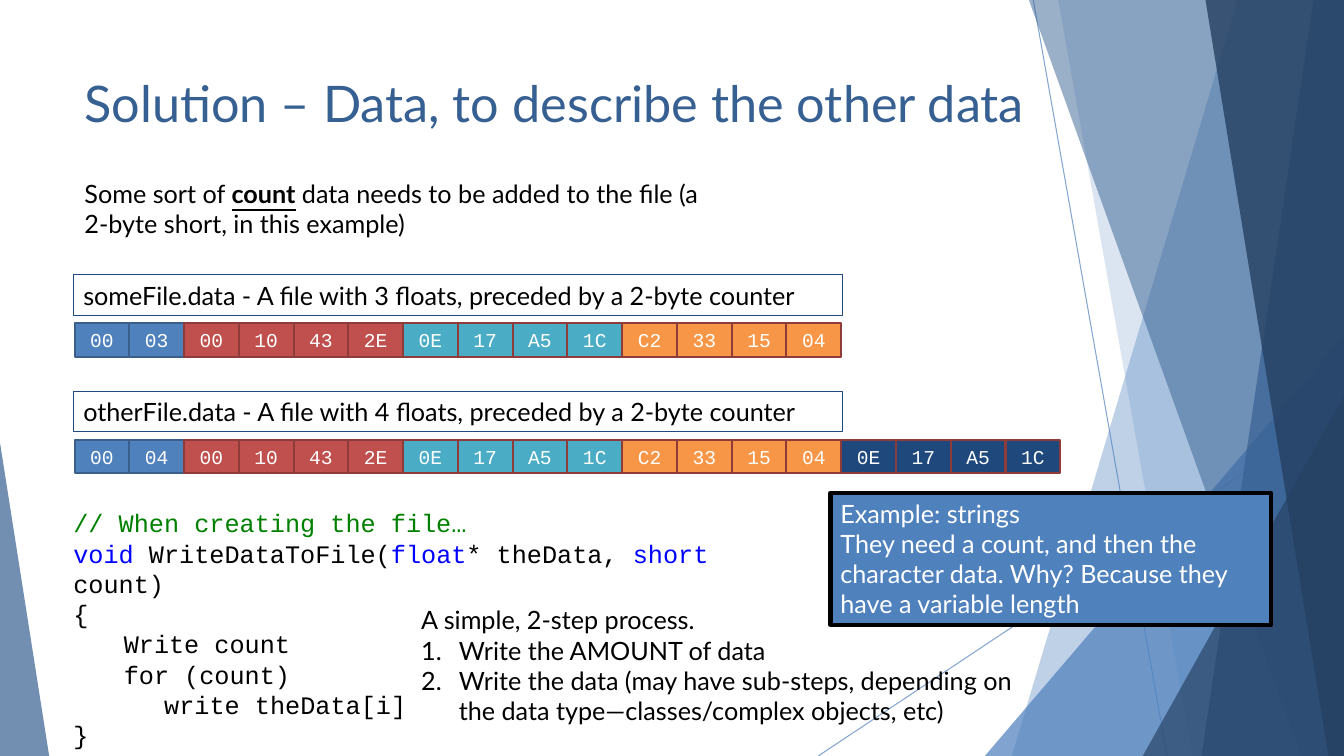
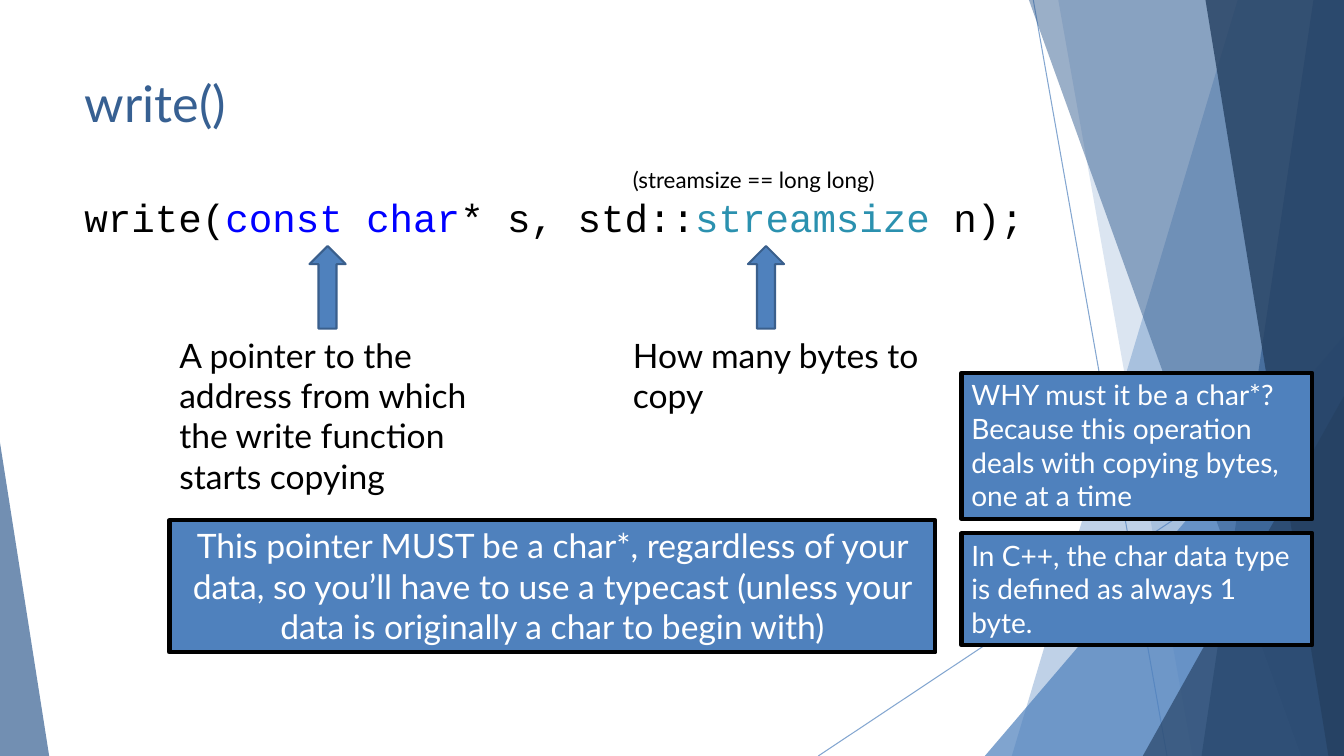
from lxml import etree
from pptx import Presentation
from pptx import util as u
from pptx.dml.color import RGBColor
from pptx.enum import shapes as kinds, text as t
from pptx.oxml.ns import qn

WIDTH, HEIGHT = 33.87, 19.05
BLUE, STEEL, NAVY, DEEP = "4F81BD", "376092", "254061", "1F497D"
RED, TEAL, ORANGE = "C0504D", "4BACC6", "F79646"
BLUE_EDGE, RED_EDGE = "3A5F8C", "8E3B39"
WHITE, BLACK = "FFFFFF", "000000"
SANS, MONO = "Lato", "Courier New"
KEYWORD, COMMENT, TYPE = ({"color": c} for c in ("0000FF", "008000", "2B91AF"))
RECT = kinds.MSO_SHAPE.RECTANGLE


def rgb(hex_code):
    """Turn a hex string into a colour."""
    return RGBColor.from_string(hex_code)


def cm(*lengths):
    """Turn numbers into lengths in centimetres."""
    return [u.Cm(length) for length in lengths]


def fade(shape, percent):
    """Give every colour of a shape the same opacity."""
    for colour in shape.element.spPr.iter(qn("a:srgbClr")):
        etree.SubElement(colour, qn("a:alpha"), val=str(percent * 1000))


def style_run(run, size, font, color, bold=False, underline=False):
    """Format one run."""
    run.font.size, run.font.name = u.Pt(size), font
    run.font.color.rgb = rgb(color)
    run.font.bold, run.font.underline = bold, underline


def write(shape, lines, align=t.PP_ALIGN.LEFT, anchor=t.MSO_ANCHOR.TOP, **look):
    """Write paragraphs; a line is a string or a list of strings and (string, format) pairs."""
    look = {"size": 18, "font": SANS, "color": BLACK, **look}
    frame = shape.text_frame
    frame.word_wrap, frame.vertical_anchor = True, anchor
    frame.auto_size = t.MSO_AUTO_SIZE.NONE
    for number, line in enumerate(lines):
        paragraph = frame.add_paragraph() if number else frame.paragraphs[0]
        paragraph.alignment, paragraph.space_before = align, u.Pt(0)
        for part in [line] if isinstance(line, str) else line:
            words, change = (part, {}) if isinstance(part, str) else part
            run = paragraph.add_run()
            run.text = words
            style_run(run, **{**look, **change})
    return frame.paragraphs


def indent(paragraph, left, hanging=0, numbered=False):
    """Set the indent of a paragraph and its number, if any."""
    props = paragraph._p.get_or_add_pPr()
    props.set("marL", str(u.Cm(left)))
    props.set("indent", str(-u.Cm(hanging)))
    if numbered:
        etree.SubElement(props, qn("a:buFont"), typeface="+mj-lt")
        etree.SubElement(props, qn("a:buAutoNum"), type="arabicPeriod")
    else:
        etree.SubElement(props, qn("a:buNone"))


class Deck:
    """Holds the presentation, its style and the current slide."""

    def __init__(self):
        """Open an empty widescreen presentation."""
        self.file = Presentation()
        self.file.slide_width, self.file.slide_height = cm(WIDTH, HEIGHT)
        self.slide = None

    def start(self, layout, title, width, height):
        """Add a slide with its title; the first one also fills the master."""
        first = self.slide is None
        self.slide = self.file.slides.add_slide(self.file.slide_layouts[layout])
        if first:
            self.backdrop()
        heading = self.place(self.slide.shapes.title, 1.88, 1.7, width, height)
        write(heading, [title], size=36, color=STEEL)

    def place(self, shape, *box):
        """Move and size a placeholder."""
        shape.left, shape.top, shape.width, shape.height = cm(*box)
        return shape

    def paint(self, shape, fill, line=None, weight=1.5):
        """Set fill and outline, without a shadow."""
        shape.shadow.inherit = False
        shape.fill.solid()
        shape.fill.fore_color.rgb = rgb(fill)
        if line:
            shape.line.color.rgb = rgb(line)
            shape.line.width = u.Pt(weight)
        else:
            shape.line.fill.background()
        return shape

    def shape(self, box, fill, line=None, weight=1.5, kind=RECT):
        """Add a painted preset shape."""
        return self.paint(self.slide.shapes.add_shape(kind, *cm(*box)), fill, line, weight)

    def label(self, box, lines, **look):
        """Add a plain text box."""
        return write(self.slide.shapes.add_textbox(*cm(*box)), lines, **look)

    def callout(self, box, lines, **look):
        """Add a blue box with a heavy black frame."""
        write(self.shape(box, BLUE, BLACK, 3), lines, color=WHITE, **look)

    def arrow(self, left):
        """Add an arrow that points up at the signature."""
        self.shape((left, 6.2, 0.91, 2.08), BLUE, BLUE_EDGE, kind=kinds.MSO_SHAPE.UP_ARROW)

    def ray(self, *ends):
        """Add a thin translucent line."""
        ray = self.slide.shapes.add_connector(kinds.MSO_CONNECTOR.STRAIGHT, *cm(*ends))
        ray.line.color.rgb, ray.line.width = rgb(BLUE), u.Pt(0.75)
        etree.SubElement(ray.element.spPr, qn("a:effectLst"))
        fade(ray, 70)
        return ray

    def facet(self, top, bottom, fill, opacity):
        """Add a full-height facet from a slanted edge to the right side."""
        outline = self.slide.shapes.build_freeform(*cm(top, 0), scale=1.0)
        corners = [(WIDTH, 0), (WIDTH, HEIGHT), (bottom, HEIGHT)]
        outline.add_line_segments([cm(*corner) for corner in corners])
        facet = self.paint(outline.convert_to_shape(), fill)
        fade(facet, opacity)
        return facet

    def wedge(self, left, top, width, apex, fill, opacity):
        """Add a right-angled triangle that stands on the bottom edge."""
        wedge = self.shape((left, top, width, HEIGHT - top), fill,
                           kind=kinds.MSO_SHAPE.ISOSCELES_TRIANGLE)
        wedge.adjustments[0] = apex
        fade(wedge, opacity)
        return wedge

    def backdrop(self):
        """Draw the facets once and move them to the slide master."""
        pieces = [
            self.ray(26.04, 0, 29.41, HEIGHT),
            self.ray(WIDTH, 10.24, 20.62, HEIGHT),
            self.facet(31.19, 25.5, BLUE, 36),
            self.facet(26.67, 30.05, BLUE, 20),
            self.wedge(24.82, 8.46, 9.05, 1, BLUE, 72),
            self.facet(25.93, 32.79, STEEL, 50),
            self.facet(33.1, 30.28, STEEL, 70),
            self.facet(30.38, 33.48, NAVY, 80),
            self.wedge(28.8, 9.98, 5.07, 1, NAVY, 66),
            self.wedge(0, 11.15, 1.24, 0, STEEL, 70),
        ]
        tree = self.file.slide_master.shapes.element
        for number, piece in enumerate(pieces):
            piece.element.find(".//" + qn("p:cNvPr")).set("id", str(100 + number))
            tree.insert(2 + number, piece.element)

    def byte_row(self, top, caption, groups):
        """Add a caption and below it one cell per byte, coloured by group."""
        heading = self.shape((1.85, top, 19.38, 1.02), WHITE, DEEP, 0.75)
        write(heading, [caption])
        cells = [(byte, fill) for data, fill in groups for byte in data.split()]
        pitch = 1.38
        for column, (byte, fill) in enumerate(cells):
            edge = BLUE_EDGE if fill == BLUE else RED_EDGE
            cell = self.shape((1.88 + column * pitch, top + 1.22, pitch, 0.84), fill, edge)
            write(cell, [byte], align=t.PP_ALIGN.CENTER, anchor=t.MSO_ANCHOR.MIDDLE,
                  size=14, font=MONO, color=WHITE)


def build_solution(deck):
    """Build the slide about the counter in front of the data."""
    deck.start(1, "Solution – Data, to describe the other data", 25.07, 2.18)
    steps = deck.place(deck.slide.placeholders[1], 10.36, 15.11, 16.38, 3.33)
    intro, *numbered = write(steps, [
        "A simple, 2-step process.",
        "Write the AMOUNT of data",
        "Write the data (may have sub-steps, depending on the data type—classes/complex "
        "objects, etc)"])
    indent(intro, 0)
    for step in numbered:
        indent(step, 0.95, 0.95, numbered=True)

    write(deck.shape((1.88, 4.37, 16.38, 1.8), WHITE), [[
        "Some sort of ", ("count", {"bold": True, "underline": True}),
        " data needs to be added to the file (a 2-byte short, in this example)"]])

    floats = [("00 10 43 2E", RED), ("0E 17 A5 1C", TEAL), ("C2 33 15 04", ORANGE)]
    deck.byte_row(6.93, "someFile.data - A file with 3 floats, preceded by a 2-byte counter",
                  [("00 03", BLUE), *floats])
    deck.byte_row(9.86, "otherFile.data - A file with 4 floats, preceded by a 2-byte counter",
                  [("00 04", BLUE), *floats, ("0E 17 A5 1C", DEEP)])

    code = deck.label((1.6, 12.67, 17.91, 5.64), [
        [("// When creating the file…", COMMENT)],
        [("void ", KEYWORD), "WriteDataToFile(", ("float", KEYWORD), "* theData, ",
         ("short ", KEYWORD), "count)"],
        "{", "Write count", "for (count)", "write theData[i]", "}"], font=MONO)
    for line, left in zip(code[3:6], (1.27, 1.27, 2.29)):
        indent(line, left)

    deck.callout((20.93, 12.42, 11.1, 3.33), [
        "Example: strings",
        "They need a count, and then the character data. Why? Because they have a "
        "variable length"])


def build_write(deck):
    """Build the slide about the parameters of write()."""
    deck.start(5, "write()", 23.88, 2.03)
    deck.label((1.88, 4.75, 25.37, 1.45), [[
        "write(", ("const char", KEYWORD), "* s, std::", ("streamsize ", TYPE), "n);"]],
        size=28, font=MONO)
    deck.label((15.7, 4.06, 6.99, 0.94), ["(streamsize == long long)"], size=16)

    parameters = [
        (4.27, 7.8, 4.37, "A pointer to the address from which the write function starts copying"),
        (15.7, 18.85, 2.31, "How many bytes to copy")]
    for left, arrow_left, height, meaning in parameters:
        deck.label((left, 8.31, 8.86, height), [meaning], size=24)
        deck.arrow(arrow_left)

    deck.callout((4.27, 13.11, 19.3, 3.33), [
        "This pointer MUST be a char*, regardless of your data, so you’ll have to use a "
        "typecast (unless your data is originally a char to begin with)"],
        size=24, align=t.PP_ALIGN.CENTER)
    deck.callout((24.23, 9.4, 8.84, 3.68), [
        "WHY must it be a char*? Because this operation deals with copying bytes, one at "
        "a time"], size=20)
    deck.callout((24.23, 13.44, 8.84, 2.82), [
        "In C++, the char data type is defined as always 1 byte."], size=20)


deck = Deck()
build_solution(deck)
build_write(deck)
deck.file.save("out.pptx")
